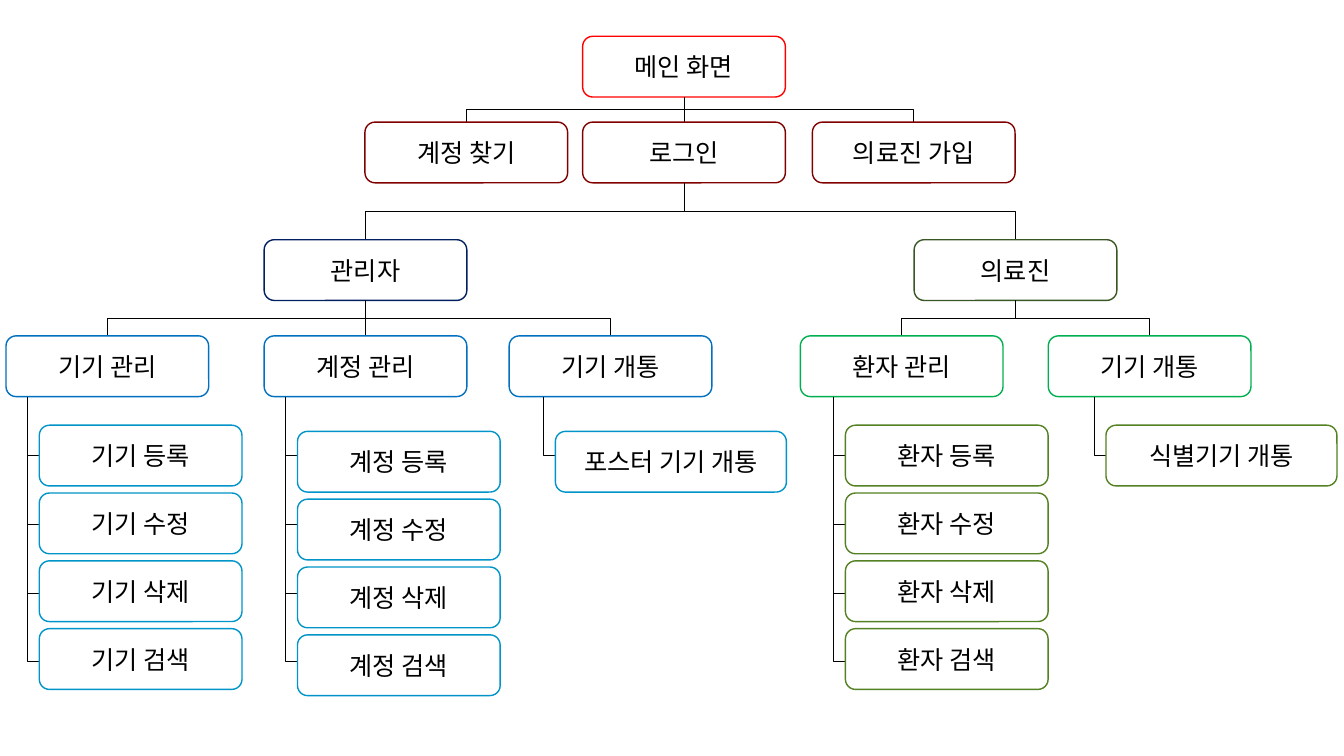
from lxml import etree
from pptx import Presentation
from pptx.dml.color import RGBColor as Color
from pptx.enum.shapes import MSO_CONNECTOR as Link, MSO_SHAPE as Shape
from pptx.enum.text import MSO_ANCHOR as Anchor, PP_ALIGN as Align
from pptx.oxml.ns import qn
from pptx.util import Pt

FONT = "Noto Sans CJK KR"
WHITE = Color(0xFF, 0xFF, 0xFF)
BLACK = Color(0, 0, 0)
RED = Color(0xFF, 0, 0)
MAROON = Color(0x80, 0, 0)
NAVY = Color(0, 0x20, 0x60)
BLUE = Color(0, 0x70, 0xC0)
CYAN = Color(0, 0x94, 0xC8)
FOREST = Color(0x38, 0x57, 0x23)
GREEN = Color(0, 0xB0, 0x50)
OLIVE = Color(0x54, 0x81, 0x23)

WIDE, TALL = 144.8, 43.4
LONG = 165
PITCH = 48.45
STUB = 8.5
STUB_Y = 85.6            # first stub, below the top of its menu
HOOKS = 128, 177.7, 226  # ends of the later stubs, below the same top
DROP = 53
ADJ = "val 112100"


def write(shape, text, size=18, color=BLACK, align=Align.CENTER):
    frame = shape.text_frame
    frame.word_wrap = True
    frame.vertical_anchor = Anchor.MIDDLE
    para = frame.paragraphs[0]
    para.alignment = align
    run = para.add_run()
    run.text = text
    font = run.font
    font.size, font.name = Pt(size), FONT
    font.color.rgb = color
    asian = etree.SubElement(run._r.get_or_add_rPr(), qn("a:ea"))
    asian.set("typeface", FONT)


def node(slide, text, x, y, color, wide=WIDE):
    box = slide.shapes.add_shape(Shape.ROUNDED_RECTANGLE,
                                 Pt(x), Pt(y), Pt(wide), Pt(TALL))
    box.shadow.inherit = False
    box.fill.solid()
    box.fill.fore_color.rgb = WHITE
    box.line.color.rgb = color
    box.line.width = Pt(1)
    write(box, text)


def bend(slide, x1, y1, x2, y2, kind="bentConnector3", adj=None):
    """Elbow that leaves downwards: a level one turned by a quarter."""
    mid_x, mid_y = (x1 + x2) / 2, (y1 + y2) / 2
    right = x2 > x1
    dx, dy = abs(x2 - x1) / 2, (y2 - y1) / 2
    side = dy if right else -dy
    line = slide.shapes.add_connector(
        Link.ELBOW, Pt(mid_x + side), Pt(mid_y - dx),
        Pt(mid_x - side), Pt(mid_y + dx))
    line.line.color.rgb = BLACK
    line.line.width = Pt(0.5)
    props = line._element.spPr
    props.find(qn("a:xfrm")).set("rot", "16200000" if right else "5400000")
    geom = props.find(qn("a:prstGeom"))
    geom.set("prst", kind)
    if adj:
        guides = geom.find(qn("a:avLst"))
        if guides is None:
            guides = etree.SubElement(geom, qn("a:avLst"))
        etree.SubElement(guides, qn("a:gd"), name="adj1", fmla=adj)
    etree.SubElement(props, qn("a:effectLst"))


def level(slide, root, y, nodes, color):
    """Row of nodes hung from the bottom centre of the root box."""
    left, top = root
    for text, x in nodes:
        bend(slide, left + WIDE / 2, top + TALL, x + WIDE / 2, y)
        node(slide, text, x, y, color)


def menu(slide, x, y, items, color, indent, gap, wide=WIDE):
    """Column of items under the menu box at x, y."""
    left = x + indent
    stem = left - STUB
    bend(slide, stem, y + TALL, left, y + STUB_Y, kind="bentConnector2")
    for _, hook in zip(items[1:], HOOKS):
        bend(slide, stem, y + hook - DROP, left, y + hook, adj=ADJ)
    for i, text in enumerate(items):
        node(slide, text, left, y + gap + i * PITCH, color, wide)


def tasks(noun):
    return [f"{noun} {verb}" for verb in ("등록", "수정", "삭제", "검색")]


def main():
    deck = Presentation()
    deck.slide_width, deck.slide_height = Pt(960), Pt(540)
    slide = deck.slides.add_slide(deck.slide_layouts[6])

    home, login = (416.2, 25.9), (416.2, 87.2)
    admin, medic = (188.7, 171.2), (653, 171.2)
    row = 239.9
    device, account, opening = 4.3, 188.7, 363.7
    patient, tagging = 571.7, 748.8

    node(slide, "메인 화면", *home, RED)
    level(slide, home, login[1], [("계정 찾기", 260.7), ("로그인", login[0]),
                                  ("의료진 가입", 580.3)], MAROON)
    level(slide, login, admin[1], [("관리자", admin[0])], NAVY)
    level(slide, login, medic[1], [("의료진", medic[0])], FOREST)
    level(slide, admin, row, [("기기 관리", device), ("계정 관리", account),
                              ("기기 개통", opening)], BLUE)
    level(slide, medic, row, [("환자 관리", patient),
                              ("기기 개통", tagging)], GREEN)

    menu(slide, device, row, tasks("기기"), CYAN, 23.8, 63.8)
    menu(slide, account, row, tasks("계정"), CYAN, 23.8, 68.2)
    menu(slide, opening, row, ["포스터 기기 개통"], CYAN, 33, 68.2, LONG)
    menu(slide, patient, row, tasks("환자"), OLIVE, 32.2, 63.8)
    menu(slide, tagging, row, ["식별기기 개통"], OLIVE, 41.2, 63.8, LONG)
    deck.save("out.pptx")


if __name__ == "__main__":
    main()
